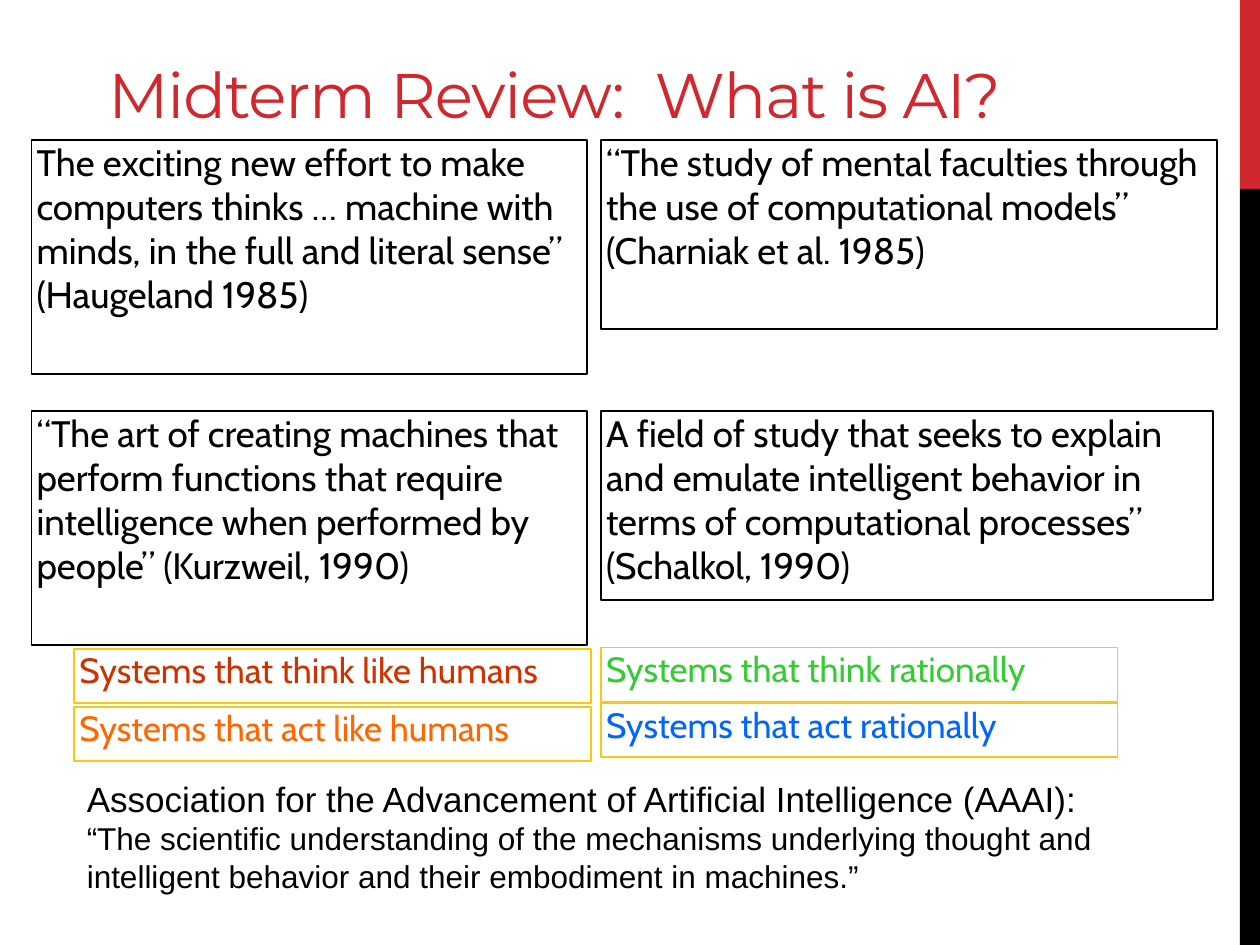
from pptx import Presentation
from pptx.dml.color import RGBColor
from pptx.enum.shapes import MSO_SHAPE
from pptx.enum.text import MSO_ANCHOR, PP_ALIGN
from pptx.util import Inches, Pt

TITLE = "Midterm Review:  What is AI?"
BANDS = [(0, 1.5, "D1282E"), (1.5, 6, "000000")]
LEFT, RIGHT = 0.25, 4.77
ROW_1, ROW_2 = 1.11, 3.26
QUOTES = [
    (LEFT, ROW_1, 4.41, 1.86, [
        "The exciting new effort to make computers thinks … machine with minds, "
        "in the full and literal sense”",
        "(Haugeland 1985)"]),
    (LEFT, ROW_2, 4.41, 1.86, [
        "“The art of creating machines that perform functions that require "
        "intelligence when performed by people” (Kurzweil, 1990)"]),
    (RIGHT, ROW_1, 4.89, 1.5, [
        "“The study of mental faculties through the use of computational models”",
        "(Charniak et al. 1985)"]),
    (RIGHT, ROW_2, 4.86, 1.5, [
        "A field of study that seeks to explain and emulate intelligent behavior "
        "in terms of computational processes” (Schalkol, 1990)"]),
]
SYSTEMS = [
    (0.59, 5.15, "Systems that think like humans", "CC3300"),
    (RIGHT, 5.14, "Systems that think rationally", "33CC33"),
    (0.59, 5.61, "Systems that act like humans", "FF6600"),
    (RIGHT, 5.58, "Systems that act rationally", "0066FF"),
]
AAAI = [
    ("Association for the Advancement of Artificial Intelligence (AAAI):", 20),
    ("“The scientific understanding of the mechanisms underlying thought and", 18),
    ("intelligent behavior and their embodiment in machines.”", 18),
]


def rgb(color):
    return RGBColor.from_string(color)


def add_rect(s, x, y, w, h, fill=None, line=None):
    sp = s.shapes.add_shape(MSO_SHAPE.RECTANGLE, Inches(x), Inches(y), Inches(w), Inches(h))
    sp.shadow.inherit = False
    if fill:
        sp.fill.solid()
        sp.fill.fore_color.rgb = rgb(fill)
    else:
        sp.fill.background()
    if line:
        sp.line.color.rgb = rgb(line)
        sp.line.width = Pt(1)
    else:
        sp.line.fill.background()
    return sp


def write(sp, lines, font, color, insets, anchor=MSO_ANCHOR.TOP, wrap=True):
    tf = sp.text_frame
    tf.word_wrap = wrap
    tf.vertical_anchor = anchor
    tf.margin_left, tf.margin_top, tf.margin_right, tf.margin_bottom = map(Inches, insets)
    for i, (text, size) in enumerate(lines):
        p = tf.add_paragraph() if i else tf.paragraphs[0]
        p.alignment = PP_ALIGN.LEFT
        r = p.add_run()
        r.text = text
        r.font.name = font
        r.font.size = Pt(size)
        r.font.color.rgb = rgb(color)
    return tf


prs = Presentation()
prs.slide_width, prs.slide_height = Inches(10), Inches(7.5)
s = prs.slides.add_slide(prs.slide_layouts[6])

for y, h, color in BANDS:
    add_rect(s, 9.84, y, 0.16, h, fill=color)

title = s.shapes.add_textbox(Inches(0.75), Inches(-0.17), Inches(8.5), Inches(1.25))
tf = write(title, [(TITLE, 36)], "Montserrat", "D1282E", (0.11, 0.04, 0.13, 0.04), MSO_ANCHOR.BOTTOM)
tf.paragraphs[0].runs[0].font._element.set("spc", "-60")

BOX_INSETS = (0.04, 0, 0.04, 0)
for x, y, w, h, paragraphs in QUOTES:
    sp = add_rect(s, x, y, w, h, line="000000")
    write(sp, [(text, 21) for text in paragraphs], "Cabin", "000000", BOX_INSETS)

for x, y, text, color in SYSTEMS:
    sp = add_rect(s, x, y, 4.1, 0.43, fill="FFFFFF", line="FAC810")
    write(sp, [(text, 20)], "Cabin", color, BOX_INSETS)

note = s.shapes.add_textbox(Inches(0.59), Inches(6.12), Inches(8.35), Inches(1.38))
write(note, AAAI, "Arial", "000000", (0.1, 0.05, 0.1, 0.05), wrap=False)

prs.save("out.pptx")
